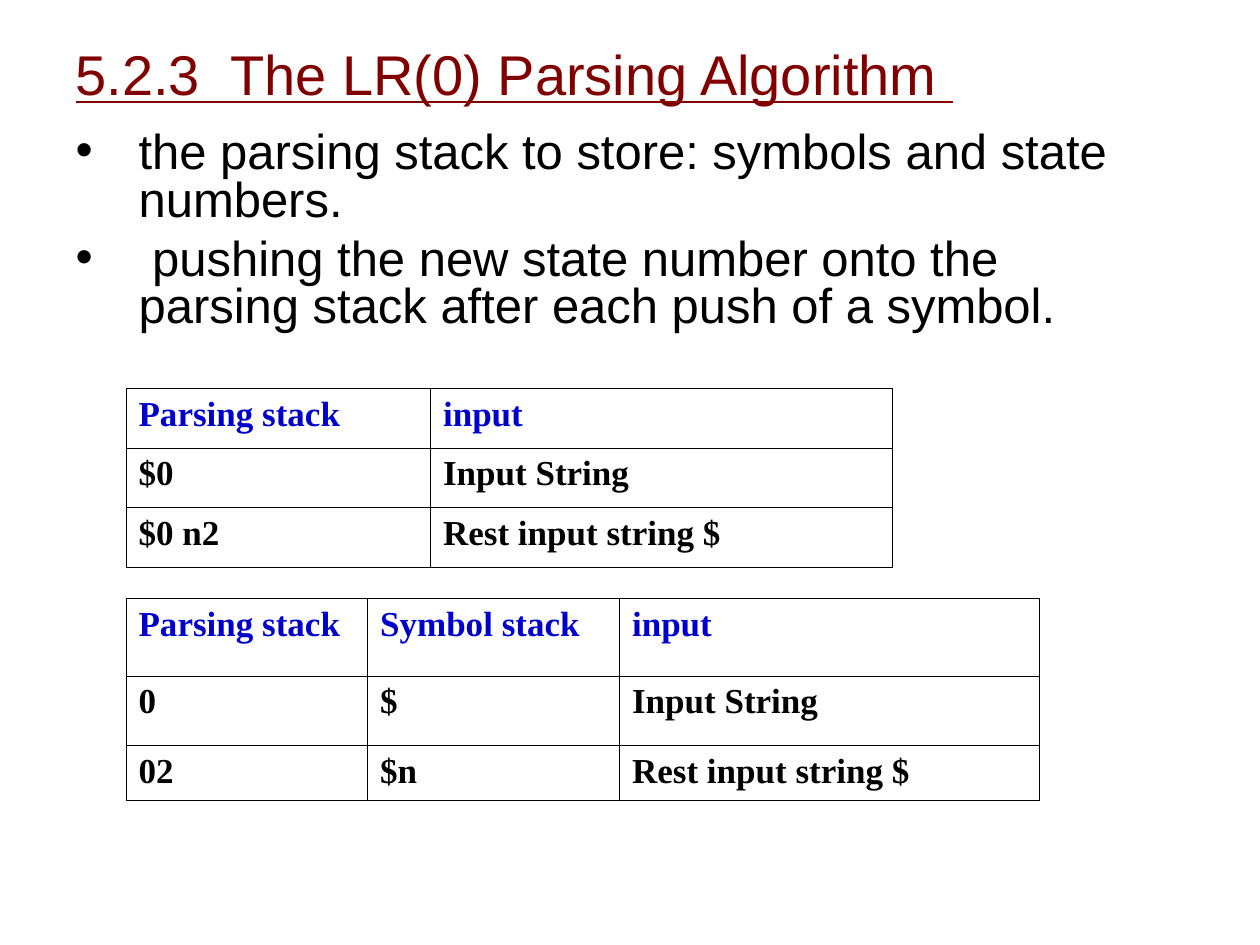
from pptx import Presentation
from pptx.dml.color import RGBColor
from pptx.enum.text import MSO_ANCHOR, MSO_AUTO_SIZE, PP_ALIGN
from pptx.oxml.ns import qn
from pptx.util import Pt
from lxml.etree import SubElement

MAROON = RGBColor(0x80, 0x00, 0x00)
BLUE = RGBColor(0x00, 0x00, 0xCC)
BLACK = RGBColor(0x00, 0x00, 0x00)

BULLETS = [
    "the parsing stack to store: symbols and state numbers.",
    " pushing the new state number onto the parsing stack after each push of a symbol.",
]
COMBINED_STACK = [
    ["Parsing stack", "input"],
    ["$0", "Input String"],
    ["$0 n2", "Rest input string $"],
]
SEPARATE_STACKS = [
    ["Parsing stack", "Symbol stack", "input"],
    ["0", "$", "Input String"],
    ["02", "$n", "Rest input string $"],
]


def add_run(paragraph, text, font_name, size, color, bold=False, underline=False):
    run = paragraph.add_run()
    run.text = text
    font = run.font
    font.name, font.size = font_name, Pt(size)
    font.bold, font.underline = bold, underline
    font.color.rgb = color


def place(placeholder, left, top, width, height, anchor):
    placeholder.left, placeholder.top = Pt(left), Pt(top)
    placeholder.width, placeholder.height = Pt(width), Pt(height)
    frame = placeholder.text_frame
    frame.word_wrap = True
    frame.auto_size = MSO_AUTO_SIZE.NONE
    frame.vertical_anchor = anchor
    return frame


def fill_title(placeholder, text):
    heading = place(placeholder, 36, 12, 672, 60, MSO_ANCHOR.MIDDLE).paragraphs[0]
    heading.alignment = PP_ALIGN.LEFT
    add_run(heading, text, "Arial", 32, MAROON, underline=True)


def fill_bullets(placeholder, points):
    frame = place(placeholder, 36, 72, 606, 132, MSO_ANCHOR.TOP)
    for index, point in enumerate(points):
        item = frame.paragraphs[0] if index == 0 else frame.add_paragraph()
        properties = item._p.get_or_add_pPr()
        properties.set("marL", str(Pt(36)))
        properties.set("indent", str(-Pt(36)))
        SubElement(properties, qn("a:buFont"), typeface="Arial")
        SubElement(properties, qn("a:buChar"), char="•")
        item.line_spacing = 0.8
        item.space_before = Pt(7 if index else 0)
        add_run(item, point, "Arial", 28, BLACK)


def outline_cell(cell):
    properties = cell._tc.get_or_add_tcPr()
    for side in ("a:lnL", "a:lnR", "a:lnT", "a:lnB"):
        border = SubElement(properties, qn(side), w=str(Pt(0.45)))
        solid = SubElement(border, qn("a:solidFill"))
        SubElement(solid, qn("a:srgbClr"), val=str(BLACK))


def add_stack_table(slide, rows, top, widths, heights):
    table = slide.shapes.add_table(
        len(rows), len(widths), Pt(72), Pt(top), Pt(sum(widths)), Pt(sum(heights))
    ).table
    table.first_row = table.horz_banding = False
    for column, width in zip(table.columns, widths):
        column.width = Pt(width)
    for row_index, (row, height) in enumerate(zip(rows, heights)):
        table.rows[row_index].height = Pt(height)
        for column_index, entry in enumerate(row):
            cell = table.cell(row_index, column_index)
            outline_cell(cell)
            cell.fill.background()
            color = BLACK if row_index else BLUE
            add_run(cell.text_frame.paragraphs[0], entry,
                    "Times New Roman", 20, color, bold=True)


def main():
    prs = Presentation()
    prs.slide_width, prs.slide_height = Pt(720), Pt(540)
    slide = prs.slides.add_slide(prs.slide_layouts[1])

    # Heading and key points
    fill_title(slide.shapes.title, "5.2.3  The LR(0) Parsing Algorithm ")
    fill_bullets(slide.placeholders[1], BULLETS)

    # States and symbols on one stack, then on two
    add_stack_table(slide, COMBINED_STACK, 222, [174, 264], [34, 34, 34])
    add_stack_table(slide, SEPARATE_STACKS, 342, [138, 144, 240], [44.5, 39.5, 31.5])

    prs.save("out.pptx")


if __name__ == "__main__":
    main()
